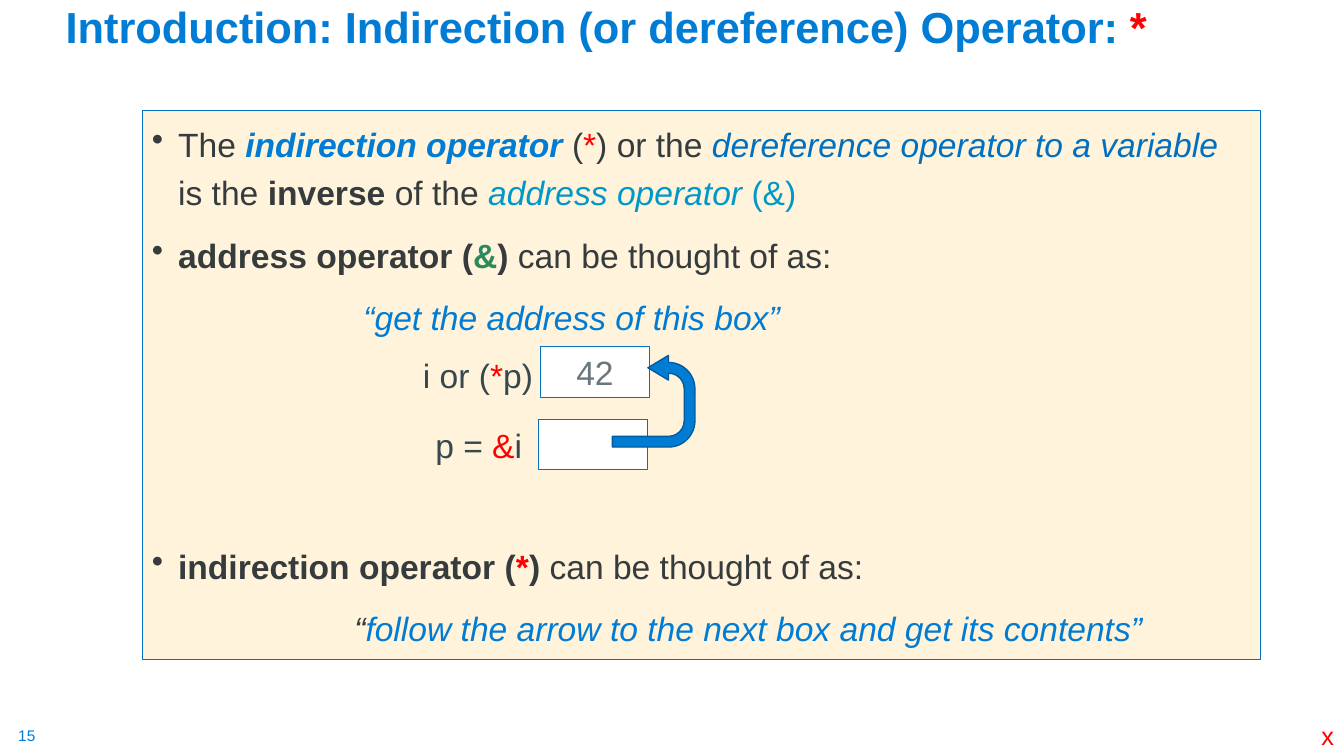
import pptx
import pptx.util
import pptx.dml.color
import pptx.enum.shapes
import pptx.enum.text
import lxml.etree

Cm = pptx.util.Cm
Pt = pptx.util.Pt
RGB = pptx.dml.color.RGBColor
Kind = pptx.enum.shapes.MSO_SHAPE
Align = pptx.enum.text.PP_ALIGN
Anchor = pptx.enum.text.MSO_ANCHOR

BLUE = RGB(0x00, 0x7C, 0xD5)
EDGE = RGB(0x00, 0x70, 0xC0)
DEEP = RGB(0x00, 0x5C, 0x9E)
TEAL = RGB(0x00, 0x98, 0xC9)
GREEN = RGB(0x2C, 0x89, 0x5B)
RED = RGB(0xFF, 0x00, 0x00)
INK = RGB(0x36, 0x3B, 0x3E)
SLATE = RGB(0x38, 0x48, 0x51)
GREY = RGB(0x6B, 0x76, 0x7D)
CREAM = RGB(0xFF, 0xF4, 0xDB)
WHITE = RGB(0xFF, 0xFF, 0xFF)


class Deck:
    """Holds the text style and the current slide."""

    def __init__(self, face="Arial", size=24):
        self.face, self.size = face, size
        self.show = pptx.Presentation()
        self.show.slide_width, self.show.slide_height = Cm(33.87), Cm(19.05)
        self.slide = self.show.slides.add_slide(self.show.slide_layouts[5])

    def put(self, para, runs, size=None, align=Align.LEFT):
        """Fill a paragraph with (text, colour, style letters) runs."""
        para.alignment = align
        para.font.name = self.face
        para.font.size = Pt(size or self.size)
        for text, hue, style in runs:
            run = para.add_run()
            run.text = text
            run.font.color.rgb = hue
            run.font.bold = "b" in style
            run.font.italic = "i" in style

    def title(self, place, runs, size):
        """Move and fill the title placeholder."""
        head = self.slide.shapes.title
        head.left, head.top, head.width, head.height = map(Cm, place)
        frame = head.text_frame
        frame.vertical_anchor = Anchor.BOTTOM
        frame.auto_size = pptx.enum.text.MSO_AUTO_SIZE.NONE
        frame.paragraphs[0].line_spacing = 0.9
        self.put(frame.paragraphs[0], runs, size)

    def label(self, place, runs, size=None, inset=None):
        """Add a one-line text box."""
        frame = self.slide.shapes.add_textbox(*map(Cm, place)).text_frame
        frame.word_wrap = False
        if inset is not None:
            frame.margin_left = frame.margin_right = Cm(inset)
            frame.margin_top = frame.margin_bottom = Cm(inset)
        self.put(frame.paragraphs[0], runs, size)

    def shape(self, place, fill, kind=Kind.RECTANGLE, line=EDGE, width=0.75):
        """Add a filled and outlined shape."""
        form = self.slide.shapes.add_shape(kind, *map(Cm, place))
        form.shadow.inherit = False
        form.fill.solid()
        form.fill.fore_color.rgb = fill
        form.line.color.rgb = line
        form.line.width = Pt(width)
        return form

    def panel(self, place, fill, items):
        """Add a box of (indent, hang, space before, runs) paragraphs."""
        frame = self.shape(place, fill).text_frame
        frame.vertical_anchor = Anchor.TOP
        frame.word_wrap = True
        for at, (left, hang, gap, runs) in enumerate(items):
            para = frame.add_paragraph() if at else frame.paragraphs[0]
            para.line_spacing = 1.2
            para.space_before = Pt(gap)
            props = para._p.get_or_add_pPr()
            props.set("marL", str(Cm(left)))
            props.set("indent", str(-Cm(hang)))
            if hang:
                tag = pptx.oxml.ns.qn("a:buChar")
                lxml.etree.SubElement(props, tag).set("char", "•")
            self.put(para, runs)

    def cell(self, place, text=""):
        """Add a memory box with its value."""
        frame = self.shape(place, WHITE).text_frame
        frame.vertical_anchor = Anchor.MIDDLE
        if text:
            self.put(frame.paragraphs[0], [(text, GREY, "")], align=Align.CENTER)

    def arrow(self, place, turn, shares):
        """Add a mirrored U-turn arrow."""
        form = self.shape(place, BLUE, Kind.U_TURN_ARROW, DEEP, 1)
        form.rotation = turn
        for at, share in enumerate(shares):
            form.adjustments[at] = share
        form._element.spPr.xfrm.set("flipH", "1")


def main():
    deck = Deck()
    deck.label((0.46, 18.31, 0.48, 0.48), [("15", BLUE, "")], 11, 0)
    deck.panel((3.58, 2.79, 28.19, 13.82), CREAM, [
        (0.66, 0.66, 0, [
            ("The ", INK, ""), ("indirection operator ", BLUE, "bi"),
            ("(", INK, ""), ("*", RED, ""), (") or the ", INK, ""),
            ("dereference operator to a variable ", EDGE, "i"),
            ("is the ", INK, ""), ("inverse ", INK, "b"), ("of the ", INK, ""),
            ("address operator ", TEAL, "i"), ("(&)", TEAL, "")]),
        (0.66, 0.66, 10, [
            ("address operator (", INK, "b"), ("&", GREEN, "b"),
            (") ", INK, "b"), ("can be thought of as:", INK, "")]),
        (5.33, 0, 10, [("“get the address of this box”", BLUE, "i")]),
        (0.66, 0.66, 143, [
            ("indirection operator (", INK, "b"), ("*", RED, "b"),
            (") ", INK, "b"), ("can be thought of as:", INK, "")]),
        (5.1, 0, 10, [
            ("“", INK, "i"),
            ("follow the arrow to the next box and get its contents”", BLUE, "i")]),
    ])
    deck.title((1.4, 0.33, 29.21, 1.12), [
        ("Introduction: Indirection (or dereference) Operator: ", BLUE, "b"),
        ("*", RED, "b")], 31)
    deck.label((33.05, 18.03, 0.84, 1.02), [("x", RED, "")], 18)
    deck.cell((13.61, 8.74, 2.77, 1.27), "42")
    deck.label((10.41, 8.81, 3.33, 1.27), [
        ("i or (", SLATE, ""), ("*", RED, ""), ("p)", SLATE, "")])
    deck.cell((13.56, 10.57, 2.77, 1.27))
    deck.label((10.72, 10.59, 2.72, 1.27), [
        ("p = ", SLATE, ""), ("&", RED, ""), ("i", SLATE, "")])
    deck.arrow((15.32, 9.07, 2.31, 2.08), 90, (0.13, 0.15, 0.25, 0.44, 0.57))
    deck.show.save("out.pptx")


if __name__ == "__main__":
    main()
